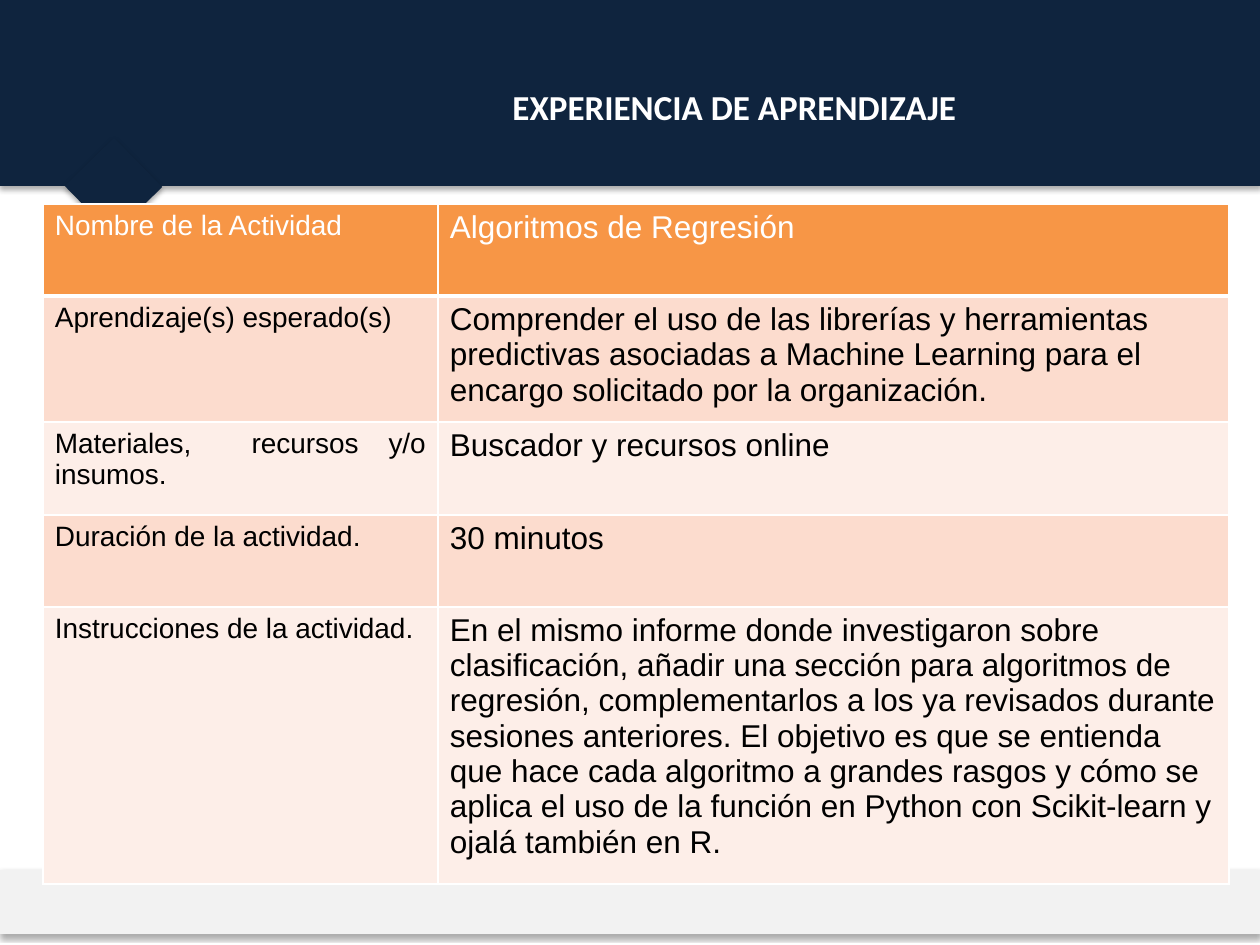
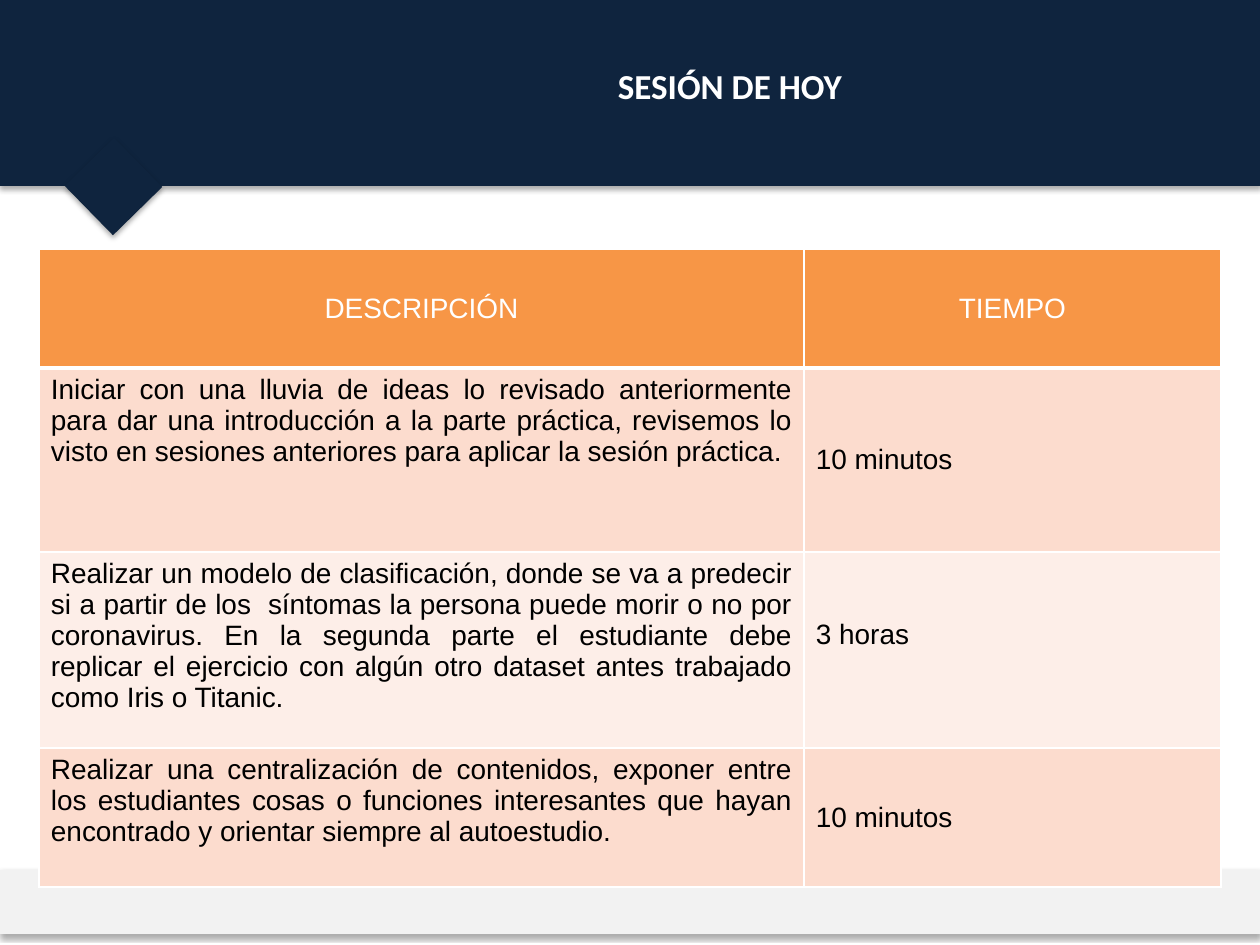
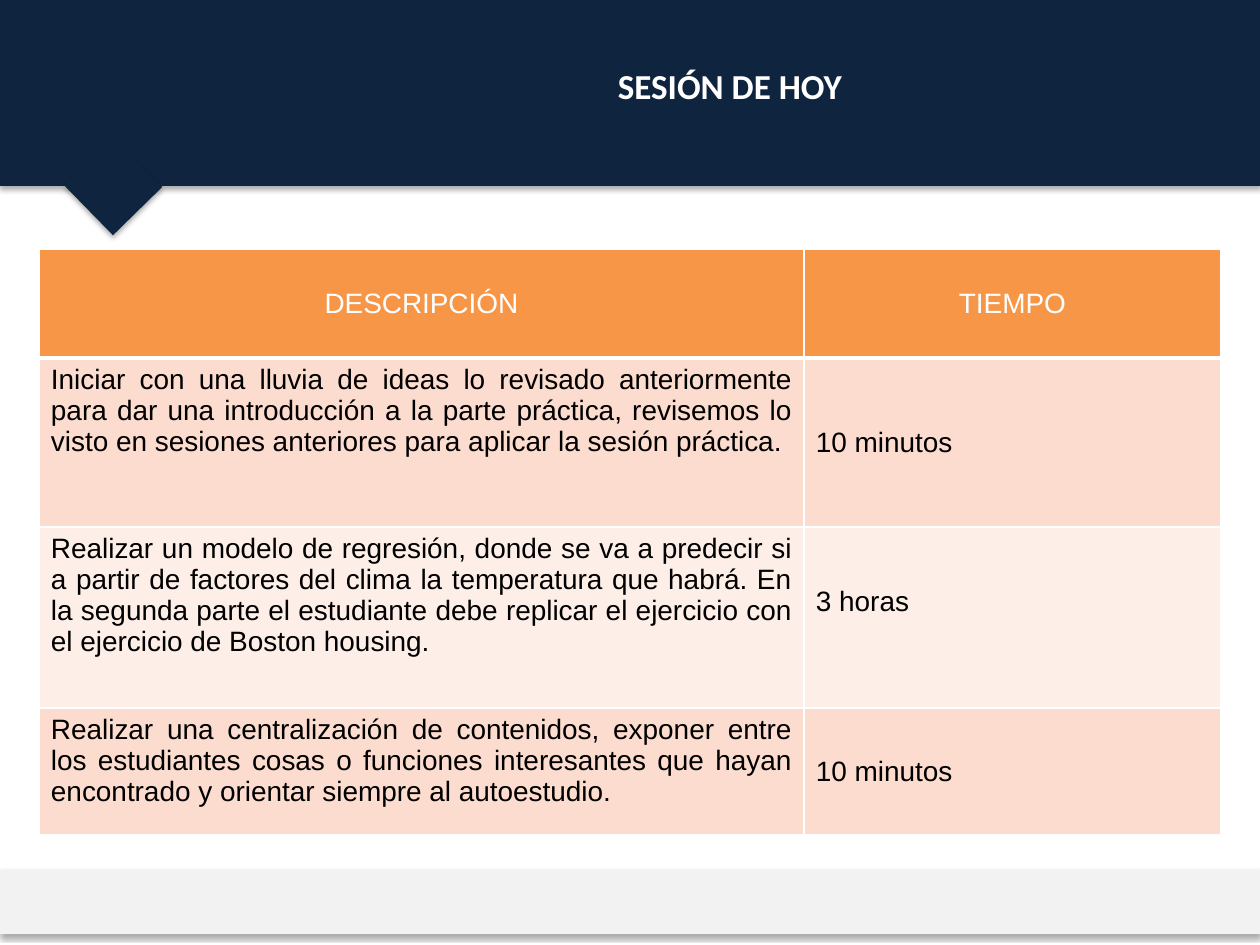
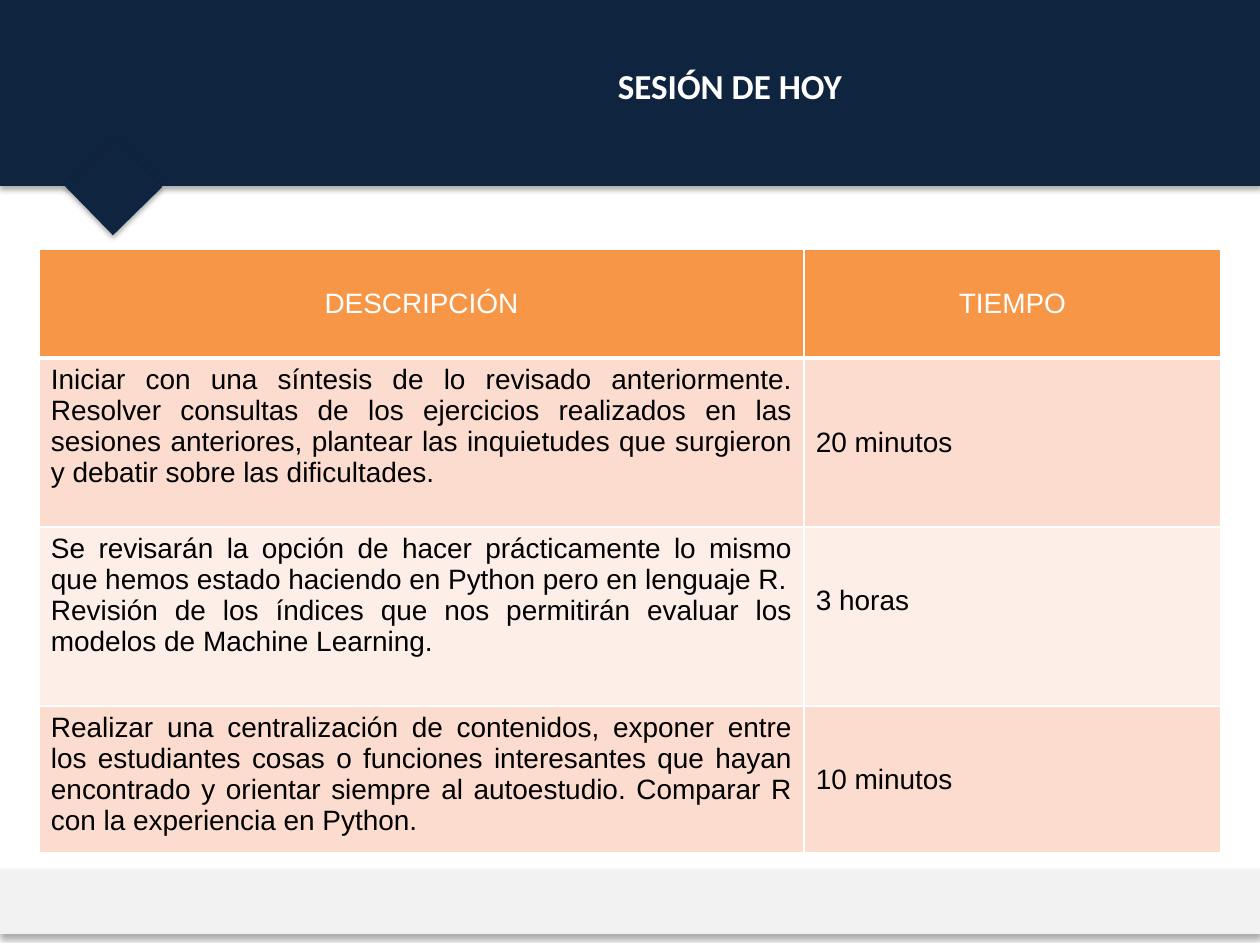
"""Build four class-session slides with a shared header band, footer band and table style."""
from lxml import etree
from pptx import Presentation
from pptx.dml.color import RGBColor
from pptx.enum.shapes import MSO_SHAPE
from pptx.enum.text import MSO_ANCHOR, MSO_AUTO_SIZE, PP_ALIGN
from pptx.oxml import parse_xml
from pptx.oxml.ns import nsdecls, qn
from pptx.util import Pt

LEFT, CENTER, JUSTIFY = PP_ALIGN.LEFT, PP_ALIGN.CENTER, PP_ALIGN.JUSTIFY
TOP, MIDDLE = MSO_ANCHOR.TOP, MSO_ANCHOR.MIDDLE
RECTANGLE = MSO_SHAPE.RECTANGLE
NO_AUTOFIT = MSO_AUTO_SIZE.NONE

NAVY, GRAY, WHITE, BLACK = "0F243E", "F2F2F2", "FFFFFF", "000000"
ORANGE, PEACH, PALE_PEACH = "F79646", "FCDCCE", "FDEEE8"
TITLE_FONT, TABLE_FONT = "Calibri", "Arial"
TITLE_ONLY = 5
BLANK_LINE = 31
SHADOW = (
    f'<a:outerShdw {nsdecls("a")} blurRad="39370" dist="22860" dir="5400000" rotWithShape="0">'
    '<a:srgbClr val="000000"><a:alpha val="33000"/></a:srgbClr></a:outerShdw>'
)


def px(length):
    return round(length * 914400 / 126)


def color(hex_string):
    return RGBColor.from_string(hex_string)


ACTIVITY_ROWS = [
    ("Nombre de la Actividad", "Algoritmos de Regresión"),
    (
        "Aprendizaje(s) esperado(s)",
        "Comprender el uso de las librerías y herramientas predictivas asociadas a "
        "Machine Learning para el encargo solicitado por la organización.",
    ),
    ("Materiales,  recursos y/o insumos.", "Buscador y recursos online"),
    ("Duración de la actividad.", "30 minutos"),
    (
        "Instrucciones de la actividad.",
        "En el mismo informe donde investigaron sobre clasificación, añadir una sección "
        "para algoritmos de regresión, complementarlos a los ya revisados durante sesiones "
        "anteriores. El objetivo es que se entienda que hace cada algoritmo a grandes rasgos "
        "y cómo se aplica el uso de la función en Python con Scikit-learn y ojalá también en R.",
    ),
]
SESSION_HEADER = ("DESCRIPCIÓN", "TIEMPO")
BRAINSTORM = (
    "Iniciar con una lluvia de ideas lo revisado anteriormente para dar una introducción a "
    "la parte práctica, revisemos lo visto en sesiones anteriores para aplicar la sesión práctica."
)
CLOSING = (
    "Realizar una centralización de contenidos, exponer entre los estudiantes cosas o funciones "
    "interesantes que hayan encontrado y orientar siempre al autoestudio."
)
CLASSIFICATION_ROWS = [
    SESSION_HEADER,
    (BRAINSTORM, "10 minutos"),
    (
        "Realizar un modelo de clasificación, donde se va a predecir si a partir de los  síntomas "
        "la persona puede morir o no por coronavirus. En la segunda parte el estudiante debe "
        "replicar el ejercicio con algún otro dataset antes trabajado como Iris o Titanic.",
        "3 horas",
    ),
    (CLOSING, "10 minutos"),
]
REGRESSION_ROWS = [
    SESSION_HEADER,
    (BRAINSTORM, "10 minutos"),
    (
        "Realizar un modelo de regresión, donde se va a predecir si a partir de factores del clima "
        "la temperatura que habrá. En la segunda parte el estudiante debe replicar el ejercicio "
        "con el ejercicio de Boston housing.",
        "3 horas",
    ),
    (CLOSING, "10 minutos"),
]
LANGUAGE_R_ROWS = [
    SESSION_HEADER,
    (
        "Iniciar con una síntesis de lo revisado anteriormente. Resolver consultas de los "
        "ejercicios realizados en las sesiones anteriores, plantear las inquietudes que "
        "surgieron y debatir sobre las dificultades.",
        "20 minutos",
    ),
    (
        "Se revisarán la opción de hacer prácticamente lo mismo que hemos estado haciendo en "
        "Python pero en lenguaje R.\n"
        "Revisión de los índices que nos permitirán evaluar los modelos de Machine Learning.",
        "3 horas",
    ),
    (CLOSING + " Comparar R con la experiencia en Python.", "10 minutos"),
]

ACTIVITY = {
    "title": "EXPERIENCIA DE APRENDIZAJE", "title_box": (439, 79, 591, 55),
    "origin": (43, 204), "widths": (395, 791), "sizes": (16, 18),
}
SESSION = {
    "title": "SESIÓN DE HOY", "title_box": (280, 58, 900, 55),
    "origin": (39, 249), "widths": (765, 417), "sizes": (16, 16),
}
SLIDES = [
    (ACTIVITY, ACTIVITY_ROWS, (92, 126, 93, 92, 277)),
    (SESSION, CLASSIFICATION_ROWS, (119, 184, 196, 139)),
    (SESSION, REGRESSION_ROWS, (109, 169, 181, 127)),
    (SESSION, LANGUAGE_R_ROWS, (109, 169, 179, 147)),
]
BANDS = [
    ((0, 0, 1260, 186), NAVY, 0),
    ((0, 870, 1260, 64), GRAY, 0),
    ((79, 152, 69, 69), NAVY, 45.6),
]

presentation = Presentation()
presentation.slide_width, presentation.slide_height = px(1260), px(945)
layout = presentation.slide_layouts[TITLE_ONLY]
for placeholder in list(layout.placeholders)[1:]:
    layout.shapes.element.remove(placeholder.element)
slides = [presentation.slides.add_slide(layout) for _ in SLIDES]

for position, (box, fill, rotation) in enumerate(BANDS, start=2):
    band = slides[0].shapes.add_shape(RECTANGLE, *map(px, box))
    band.rotation = rotation
    band.fill.solid()
    band.fill.fore_color.rgb = color(fill)
    band.line.fill.background()
    band.shadow.inherit = False
    band.element.spPr.find(qn("a:effectLst")).append(parse_xml(SHADOW))
    layout.shapes.element.insert(position, band.element)

for slide, (design, rows, heights) in zip(slides, SLIDES):
    title = slide.shapes.title
    title.left, title.top, title.width, title.height = map(px, design["title_box"])
    frame = title.text_frame
    frame.word_wrap = True
    frame.auto_size = NO_AUTOFIT
    frame.vertical_anchor = TOP
    paragraph = frame.paragraphs[0]
    paragraph.alignment = CENTER
    run = paragraph.add_run()
    run.text = design["title"]
    run.font.name, run.font.size, run.font.bold = TITLE_FONT, Pt(20), True
    run.font.color.rgb = color(WHITE)

    widths = design["widths"]
    table = slide.shapes.add_table(
        len(rows), len(widths), *map(px, design["origin"]), px(sum(widths)), px(sum(heights))
    ).table
    for column, width in zip(table.columns, widths):
        column.width = px(width)
    for row, height in zip(table.rows, heights):
        row.height = px(height)

    is_session = design is SESSION
    for row_index, texts in enumerate(rows):
        is_header = row_index == 0
        fill = ORANGE if is_header else (PALE_PEACH, PEACH)[row_index % 2]
        for column_index, text in enumerate(texts):
            cell = table.cell(row_index, column_index)
            properties = cell._tc.get_or_add_tcPr()
            for side in ("lnL", "lnR", "lnT", "lnB"):
                thick = (side == "lnB" and is_header) or (side == "lnT" and row_index == 1)
                border = etree.SubElement(properties, qn(f"a:{side}"), w=str(Pt(3 if thick else 1)))
                solid = etree.SubElement(border, qn("a:solidFill"))
                etree.SubElement(solid, qn("a:srgbClr"), val=WHITE)
            cell.fill.solid()
            cell.fill.fore_color.rgb = color(fill)
            cell.margin_left = cell.margin_right = px(12)
            cell.margin_top = cell.margin_bottom = px(6)
            centered = is_session and (is_header or column_index == 1)
            cell.vertical_anchor = MIDDLE if centered else TOP
            if centered and row_index == 2:
                cell.margin_bottom = px(6 + BLANK_LINE)
            if is_session and is_header:
                alignment = CENTER
            else:
                alignment = JUSTIFY if column_index == 0 else LEFT
            for line_index, line in enumerate(text.split("\n")):
                frame = cell.text_frame
                paragraph = frame.add_paragraph() if line_index else frame.paragraphs[0]
                paragraph.alignment = alignment
                run = paragraph.add_run()
                run.text = line
                run.font.name, run.font.bold = TABLE_FONT, False
                run.font.size = Pt(design["sizes"][column_index])
                run.font.color.rgb = color(WHITE if is_header else BLACK)

presentation.save("out.pptx")
